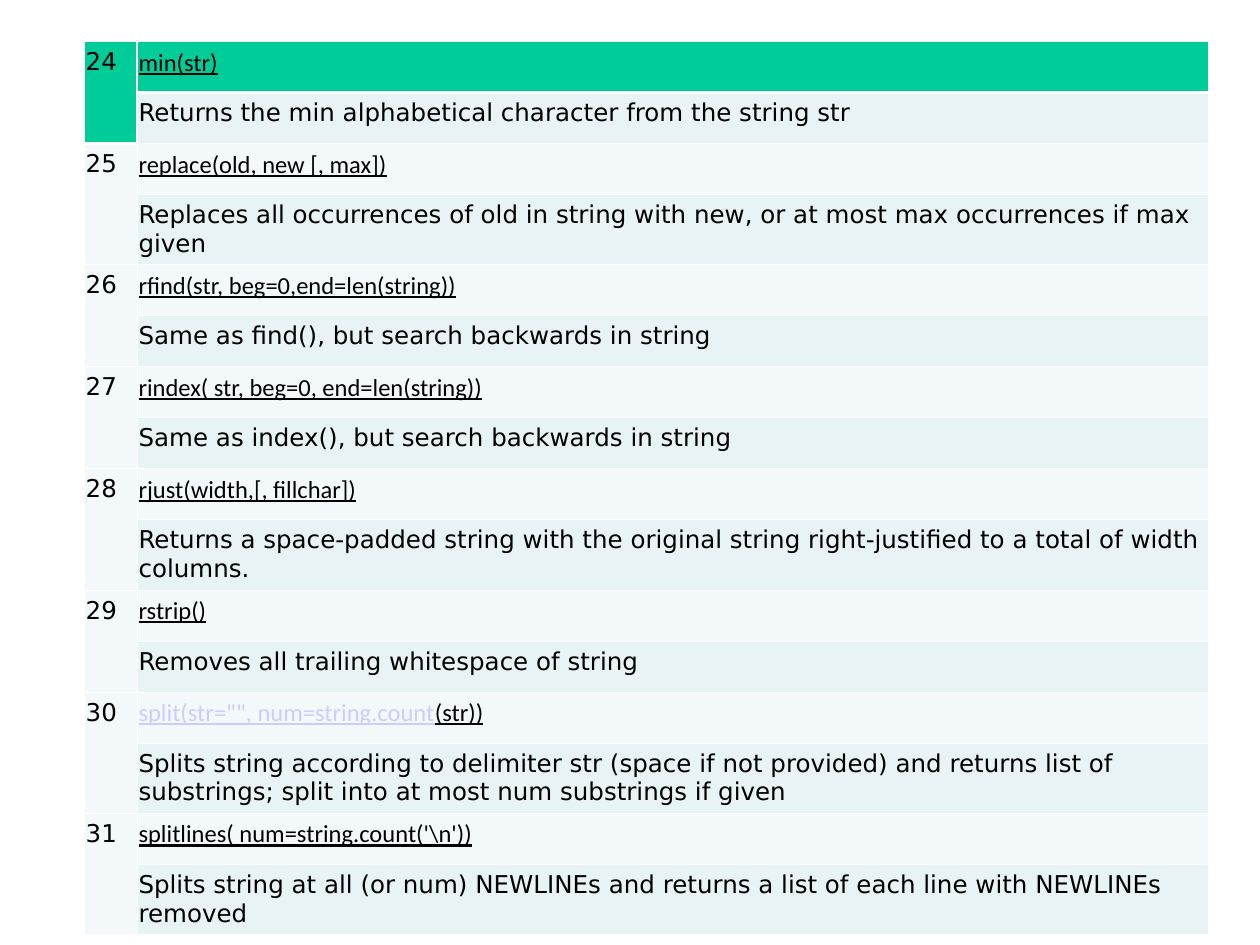
from dataclasses import dataclass

from lxml import etree
from pptx import Presentation
from pptx.dml.color import RGBColor
from pptx.oxml.ns import qn
from pptx.table import _Cell
from pptx.util import Inches, Pt

BLACK = RGBColor(0x00, 0x00, 0x00)
WHITE = RGBColor(0xFF, 0xFF, 0xFF)
GREEN = RGBColor(0x00, 0xCC, 0x99)
PALE = RGBColor(0xF3, 0xF9, 0xFA)
MIST = RGBColor(0xE7, 0xF3, 0xF4)
LILAC = RGBColor(0xCC, 0xCC, 0xFF)

CODE, BODY = "Calibri", "DejaVu Sans"
THIN, THICK = 0.45, 1.47
FIRST = 24
LEFT, TOP, WIDTH, HEIGHT = 0.67, 0.33, 8.92, 6.78
SLIM, TALL = 0.42, 0.48


@dataclass
class Method:
    call: str
    text: str
    lines: int = 1
    link: str = ""  # leading part of the call shown in lilac


METHODS = [
    Method("min(str)", "Returns the min alphabetical character from the string str"),
    Method("replace(old, new [, max])",
           "Replaces all occurrences of old in string with new, "
           "or at most max occurrences if max given", 2),
    Method("rfind(str, beg=0,end=len(string))",
           "Same as find(), but search backwards in string"),
    Method("rindex( str, beg=0, end=len(string))",
           "Same as index(), but search backwards in string"),
    Method("rjust(width,[, fillchar])",
           "Returns a space-padded string with the original string "
           "right-justified to a total of width columns.", 2),
    Method("rstrip()", "Removes all trailing whitespace of string"),
    Method("(str))",
           "Splits string according to delimiter str (space if not provided) and "
           "returns list of substrings; split into at most num substrings if given",
           2, 'split(str="", num=string.count'),
    Method("splitlines( num=string.count('\\n'))",
           "Splits string at all (or num) NEWLINEs and returns a list "
           "of each line with NEWLINEs removed", 2),
]


def edge(cell: _Cell, thick: str) -> None:
    """Draw four white borders; sides named in thick are heavy."""
    props = cell._tc.get_or_add_tcPr()
    for side in "LRTB":
        size = Pt(THICK if side in thick else THIN)
        line = etree.SubElement(props, qn(f"a:ln{side}"), w=str(int(size)))
        fill = etree.SubElement(line, qn("a:solidFill"))
        etree.SubElement(fill, qn("a:srgbClr"), val=str(WHITE))


def style(cell: _Cell, fill: RGBColor, thick: str = "") -> None:
    edge(cell, thick)
    cell.fill.solid()
    cell.fill.fore_color.rgb = fill
    cell.margin_left = cell.margin_right = Inches(0.01)
    cell.margin_top = cell.margin_bottom = Inches(0.05)


def write(cell: _Cell, text: str, face: str = BODY, link: str = "") -> None:
    para = cell.text_frame.paragraphs[0]
    for part, color in ((link, LILAC), (text, BLACK)):
        if part:
            run = para.add_run()
            run.text = part
            run.font.name, run.font.size = face, Pt(14)
            run.font.bold = False
            run.font.underline = face == CODE
            run.font.color.rgb = color


deck = Presentation()
deck.slide_width, deck.slide_height = Inches(10), Inches(7.5)
slide = deck.slides.add_slide(deck.slide_layouts[6])

# Table grid: two rows for each method
count = 2 * len(METHODS)
frame = slide.shapes.add_table(count, 2, Inches(LEFT), Inches(TOP),
                               Inches(WIDTH), Inches(HEIGHT))
table = frame.table
table.first_row = table.horz_banding = False
table.columns[0].width = Inches(SLIM)
table.columns[1].width = Inches(WIDTH - SLIM)
long = sum(item.lines > 1 for item in METHODS)
short = (HEIGHT - long * TALL) / (count - long)

# Number, call and description of each method
for i, item in enumerate(METHODS):
    top, low = 2 * i, 2 * i + 1
    head = i == 0
    tint = GREEN if head else PALE
    table.rows[top].height = Inches(short)
    table.rows[low].height = Inches(TALL if item.lines > 1 else short)
    number, call = table.cell(top, 0), table.cell(top, 1)
    under, about = table.cell(low, 0), table.cell(low, 1)
    mark = "RB" if head else "T" if i == 1 else ""
    style(number, tint, mark)
    style(under, tint, mark)
    style(call, tint, "LB" if head else "")
    style(about, MIST, "LT" if head else "")
    number.merge(under)
    write(number, str(FIRST + i))
    write(call, item.call, CODE, item.link)
    write(about, item.text)

deck.save("out.pptx")
